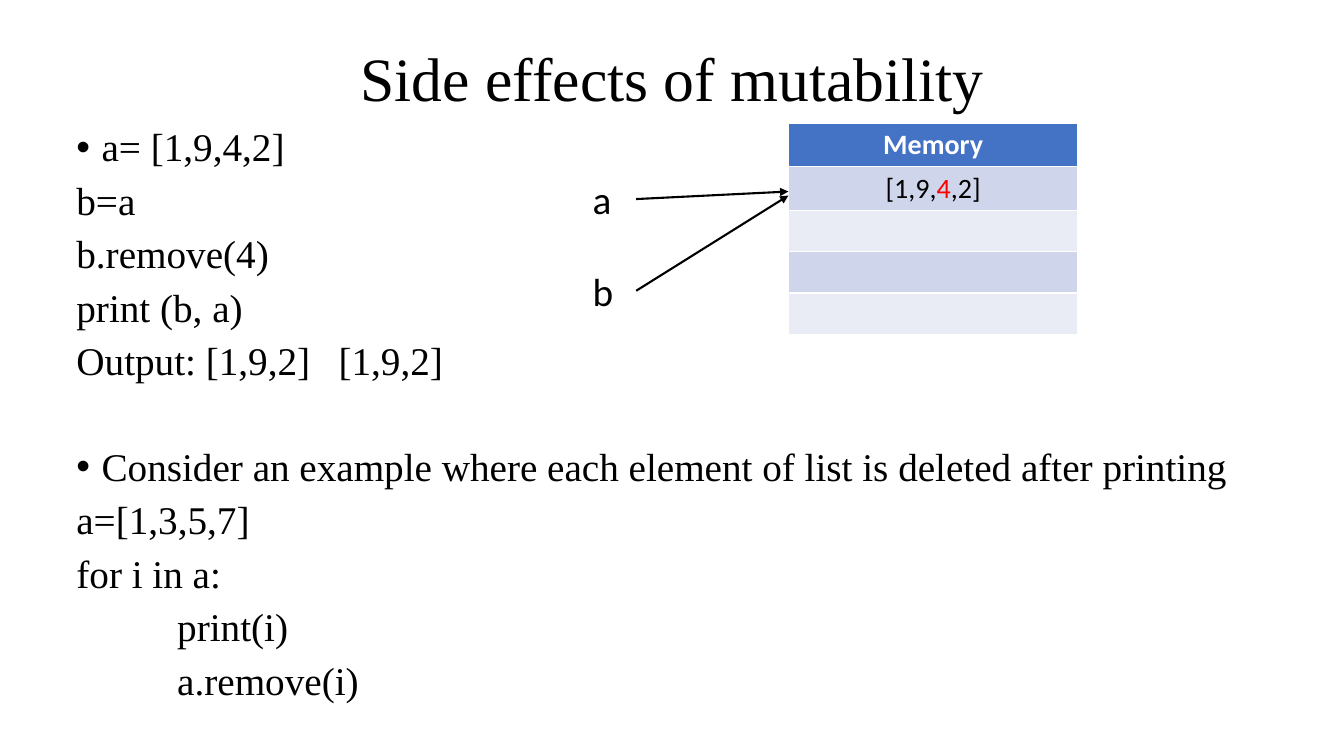
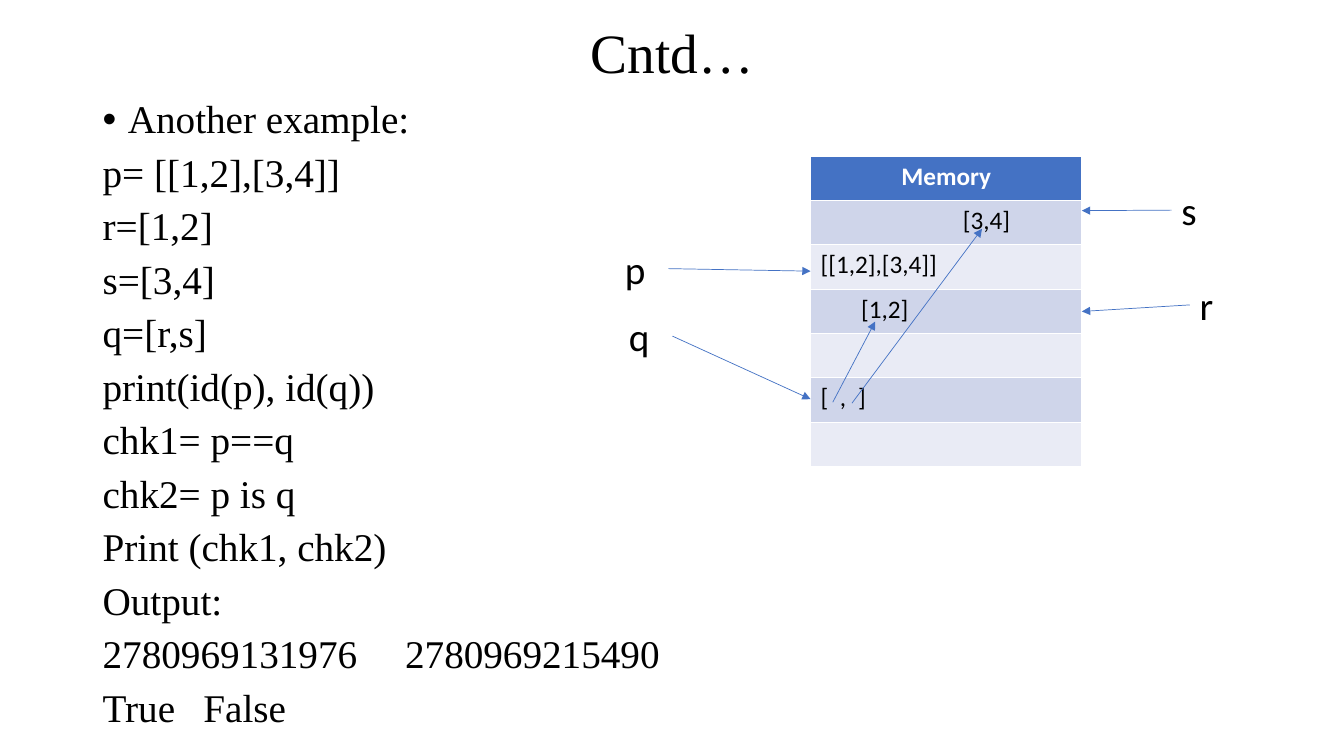
"""Build two slides on how lists share memory in Python."""
from dataclasses import dataclass

from lxml.etree import SubElement
from pptx import Presentation
from pptx.dml.color import RGBColor
from pptx.enum.shapes import MSO_CONNECTOR as Connector
from pptx.enum.text import MSO_ANCHOR as Anchor, MSO_AUTO_SIZE as AutoSize, PP_ALIGN as Align
from pptx.oxml.ns import qn
from pptx.util import Inches, Pt


@dataclass(frozen=True)
class Theme:
    black: str = "000000"
    white: str = "FFFFFF"
    red: str = "FF0000"
    blue: str = "4472C4"
    bands: tuple = ("CFD5EA", "E9EBF5")
    serif: str = "Times New Roman"
    sans: str = "Calibri"
    body_size: float = 28
    line_spacing: float = 0.9
    space_before: float = 8
    section_space: float = 45
    bullet_indent: float = 0.25


THEME = Theme()
LEFT_SIDE, RIGHT_SIDE = 1, 3


@dataclass(frozen=True)
class Line:
    text: str = ""
    bullet: bool = False
    indent: float = 0
    tabs: tuple = ()
    before: float = THEME.space_before
    align: Align = Align.LEFT
    highlight: str = ""


def add_run(paragraph, text, font, size, color=THEME.black, bold=False):
    run = paragraph.add_run()
    run.text = text
    run.font.name = font
    run.font.size = Pt(size)
    run.font.bold = bold
    run.font.color.rgb = RGBColor.from_string(color)


def format_paragraph(paragraph, line):
    properties = paragraph._p.get_or_add_pPr()
    paragraph.alignment = line.align
    if line.bullet:
        indent = Inches(THEME.bullet_indent)
        properties.set("marL", str(indent))
        properties.set("indent", str(-indent))
        SubElement(properties, qn("a:buFont"), typeface="Arial")
        SubElement(properties, qn("a:buChar"), char="•")
    elif line.indent:
        properties.set("marL", str(Inches(line.indent)))
        properties.set("indent", "0")
    if line.tabs:
        tab_list = SubElement(properties, qn("a:tabLst"))
        for position in line.tabs:
            SubElement(tab_list, qn("a:tab"), pos=str(Inches(position)), algn="l")


def add_title(slide, text, top, height, size):
    title = slide.shapes.title
    title.left, title.top = Inches(0.92), Inches(top)
    title.width, title.height = Inches(11.5), Inches(height)
    frame = title.text_frame
    frame.auto_size = AutoSize.NONE
    frame.vertical_anchor = Anchor.MIDDLE
    paragraph = frame.paragraphs[0]
    paragraph.alignment = Align.CENTER
    paragraph.line_spacing = THEME.line_spacing
    add_run(paragraph, text, THEME.serif, size)


def add_text_box(slide, left, top, width, height):
    box = slide.shapes.add_textbox(Inches(left), Inches(top), Inches(width), Inches(height))
    box.text_frame.word_wrap = True
    return box


def add_body(slide, left, top, width, height, lines):
    frame = add_text_box(slide, left, top, width, height).text_frame
    for index, line in enumerate(lines):
        paragraph = frame.add_paragraph() if index else frame.paragraphs[0]
        format_paragraph(paragraph, line)
        paragraph.line_spacing = THEME.line_spacing
        paragraph.space_before = Pt(line.before if index else 0)
        add_run(paragraph, line.text, THEME.serif, THEME.body_size)


def fill_cell(cell, line, fill, size, color=THEME.black, bold=False):
    cell.fill.solid()
    cell.fill.fore_color.rgb = RGBColor.from_string(fill)
    paragraph = cell.text_frame.paragraphs[0]
    format_paragraph(paragraph, line)
    parts = line.text.partition(line.highlight) if line.highlight else (line.text,)
    for part in filter(None, parts):
        part_color = THEME.red if part == line.highlight else color
        add_run(paragraph, part, THEME.sans, size, part_color, bold)


def add_memory_table(slide, left, top, width, row_height, size, lines):
    row_count = len(lines) + 1
    table = slide.shapes.add_table(
        row_count, 1, Inches(left), Inches(top), Inches(width), Inches(row_height * row_count)
    ).table
    for row in table.rows:
        row.height = Inches(row_height)
    header = Line("Memory", align=Align.CENTER)
    fill_cell(table.cell(0, 0), header, THEME.blue, size, THEME.white, bold=True)
    for index, line in enumerate(lines):
        fill_cell(table.cell(index + 1, 0), line, THEME.bands[index % 2], size)


def add_arrow(slide, start, end, color, width):
    arrow = slide.shapes.add_connector(
        Connector.STRAIGHT, *(Inches(value) for value in (*start, *end))
    )
    arrow.line.color.rgb = RGBColor.from_string(color)
    arrow.line.width = Pt(width)
    SubElement(arrow.line._get_or_add_ln(), qn("a:tailEnd"), type="triangle")
    SubElement(arrow._element.spPr, qn("a:effectLst"))
    return arrow


def add_variable(slide, name, left, top, side, target, color, width):
    label = add_text_box(slide, left, top, 0.53, 0.57)
    add_run(label.text_frame.paragraphs[0], name, THEME.sans, THEME.body_size)
    arrow = add_arrow(slide, (left, top), target, color, width)
    arrow.begin_connect(label, side)


def build_side_effects(slide):
    add_title(slide, "Side effects of mutability", 0.4, 0.82, 44)
    add_body(slide, 0.66, 1.22, 11.76, 5.88, [
        Line("a= [1,9,4,2]", bullet=True),
        Line("b=a"),
        Line("b.remove(4)"),
        Line("print (b, a)"),
        Line("Output: [1,9,2]\t[1,9,2]", tabs=(2.6,)),
        Line("Consider an example where each element of list is deleted after printing",
             bullet=True, before=THEME.section_space),
        Line("a=[1,3,5,7]"),
        Line("for i in a:"),
        Line("print(i)", indent=1),
        Line("a.remove(i)", indent=1),
    ])
    shared_list = Line("[1,9,4,2]", align=Align.CENTER, highlight="4")
    add_memory_table(slide, 7.82, 1.22, 2.87, 0.41, 20, [shared_list, Line(), Line(), Line()])
    for name, top, target in (("a", 1.69, (7.82, 1.9)), ("b", 2.6, (7.82, 1.94))):
        add_variable(slide, name, 5.78, top, RIGHT_SIDE, target, THEME.black, 1.5)


def build_nested_lists(slide):
    add_title(slide, "Cntd…", 0.18, 0.74, 39.6)
    code = ("p= [[1,2],[3,4]]", "r=[1,2]", "s=[3,4]", "q=[r,s]", "print(id(p), id(q))",
            "chk1= p==q", "chk2= p is q", "Print (chk1, chk2)", "Output:")
    add_body(slide, 0.92, 0.94, 11.5, 6.38, [
        Line("Another example:", bullet=True),
        *(Line(text) for text in code),
        Line("2780969131976\t2780969215490", tabs=(3,)),
        Line("True\tFalse", tabs=(1,)),
    ])
    add_memory_table(slide, 8.04, 1.55, 2.69, 0.44, 18, [
        Line("[3,4]", indent=1.41),
        Line("[[1,2],[3,4]]"),
        Line("[1,2]", indent=0.4),
        Line(),
        Line("[\t,\t]", tabs=(0.19, 0.37)),
        Line(),
    ])
    variables = (
        ("p", 6.1, 2.38, RIGHT_SIDE, (8.04, 2.69)),
        ("q", 6.14, 3.05, RIGHT_SIDE, (8.04, 3.96)),
        ("r", 11.8, 2.74, LEFT_SIDE, (10.73, 3.09)),
        ("s", 11.62, 1.8, LEFT_SIDE, (10.73, 2.09)),
    )
    for variable in variables:
        add_variable(slide, *variable, THEME.blue, 0.5)
    for start, end in (((8.26, 3.99), (8.68, 3.19)), ((8.45, 4), (9.74, 2.27))):
        add_arrow(slide, start, end, THEME.blue, 0.5)


def main():
    presentation = Presentation()
    presentation.slide_width, presentation.slide_height = Inches(13.33), Inches(7.5)
    title_only = presentation.slide_layouts[5]
    for build in (build_side_effects, build_nested_lists):
        build(presentation.slides.add_slide(title_only))
    presentation.save("out.pptx")


if __name__ == "__main__":
    main()
